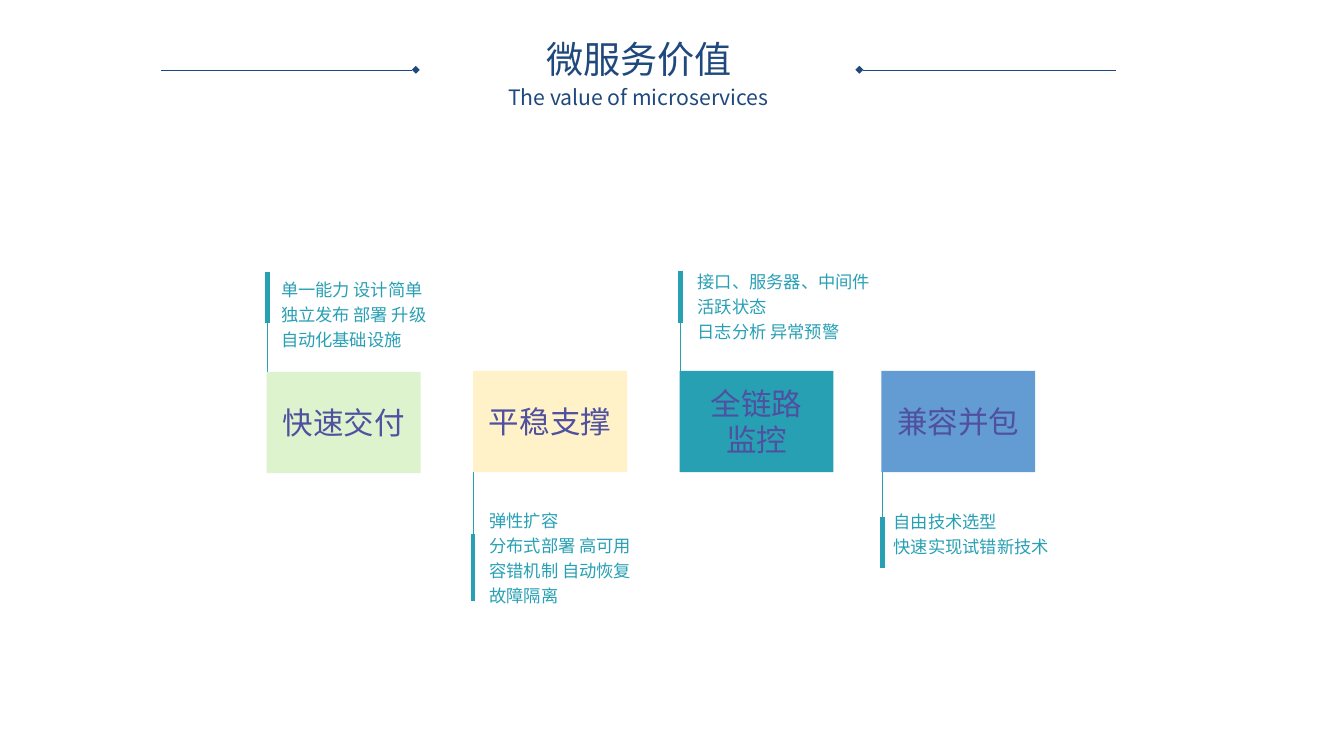
from dataclasses import dataclass

from lxml.etree import SubElement as Sub
from pptx import Presentation as Deck
from pptx.dml.color import RGBColor as Color
from pptx.enum.shapes import MSO_CONNECTOR as Link, MSO_SHAPE as Form
from pptx.enum.text import MSO_ANCHOR as Anchor, PP_ALIGN as Align
from pptx.oxml.ns import qn
from pptx.util import Inches, Pt


@dataclass(frozen=True)
class Theme:
    navy: str = "1F497D"
    teal: str = "28A0B4"
    violet: str = "4F50A0"
    green: str = "DCF3CE"
    cream: str = "FFF1C8"
    blue: str = "639CD3"
    latin: str = "Arial"
    sans: str = "Noto Sans CJK SC"
    title: int = 28
    sub: int = 16
    card: int = 23
    note: int = 13
    hair: float = 0.25
    thin: float = 1
    thick: float = 3.5


@dataclass(frozen=True)
class Box:
    left: float
    top: float
    width: float
    height: float

    def lengths(self) -> list:
        return [Inches(v) for v in (self.left, self.top, self.width, self.height)]


@dataclass(frozen=True)
class Stem:
    x: float
    base: float
    end: float
    reach: float


@dataclass(frozen=True)
class Value:
    name: str
    fill: str
    card: Box
    stem: Stem
    note: str
    area: Box


THEME = Theme()
WIDE, HIGH = 1.61, 1.06
VALUES = [
    Value("快速交付", THEME.green, Box(2.79, 3.89, WIDE, HIGH),
          Stem(2.8, 3.9, 2.85, -0.53),
          "单一能力 设计简单\n独立发布 部署 升级\n自动化基础设施",
          Box(2.85, 2.83, 2.16, 0.89)),
    Value("平稳支撑", THEME.cream, Box(4.95, 3.88, WIDE, HIGH),
          Stem(4.95, 4.92, 6.29, 0.7),
          "弹性扩容\n分布式部署 高可用\n容错机制 自动恢复\n故障隔离",
          Box(5.03, 5.25, 2.16, 1.18)),
    Value("全链路\n监控", THEME.teal, Box(7.11, 3.88, WIDE, HIGH),
          Stem(7.12, 3.89, 2.84, -0.54),
          "接口、服务器、中间件\n活跃状态\n日志分析 异常预警",
          Box(7.21, 2.75, 2.16, 0.89)),
    Value("兼容并包", THEME.blue, Box(9.22, 3.88, WIDE, HIGH),
          Stem(9.23, 4.9, 5.94, 0.53),
          "自由技术选型\n快速实现试错新技术",
          Box(9.26, 5.26, 2.39, 0.72)),
]


def write(shape, text: str, *, size: int, color: str, font: str = THEME.sans,
          align=Align.LEFT, anchor=Anchor.TOP, pitch: float = 1.0,
          before: float = 0) -> None:
    frame = shape.text_frame
    frame.word_wrap = True
    frame.vertical_anchor = anchor
    frame.margin_left = frame.margin_right = Inches(0.09)
    frame.margin_top = frame.margin_bottom = Inches(0.05)
    frame.text = text
    for para in frame.paragraphs:
        para.alignment = align
        para.line_spacing = pitch
        para.space_before = Pt(before)
        for run in para.runs:
            run.font.size = Pt(size)
            run.font.color.rgb = Color.from_string(color)
            run.font.name = font
            east = Sub(run.font._element, qn("a:ea"))
            east.set("typeface", font)


def draw_line(slide, start: tuple, end: tuple, color: str, width: float,
              tip: str = "") -> None:
    line = slide.shapes.add_connector(
        Link.STRAIGHT, *(Inches(v) for v in (*start, *end)))
    line.line.color.rgb = Color.from_string(color)
    line.line.width = Pt(width)
    props = line._element.spPr
    if tip:
        Sub(props.find(qn("a:ln")), qn("a:headEnd")).set("type", tip)
    Sub(props, qn("a:effectLst"))


def draw_head(slide) -> None:
    for near, far in ((4.35, 1.68), (8.99, 11.67)):
        draw_line(slide, (near, 0.73), (far, 0.73), THEME.navy, THEME.hair, "diamond")
    style = dict(color=THEME.navy, align=Align.CENTER, anchor=Anchor.MIDDLE,
                 pitch=0.9, before=10)
    sub = slide.shapes.add_textbox(*Box(4.1, 0.8, 5.16, 0.47).lengths())
    write(sub, "The value of microservices", size=THEME.sub, **style)
    title = slide.shapes.title
    title.left, title.top, title.width, title.height = Box(3.62, 0.41, 6.13, 0.47).lengths()
    write(title, "微服务价值", size=THEME.title, font=THEME.latin, **style)


def draw_stem(slide, stem: Stem) -> None:
    x = stem.x
    draw_line(slide, (x, stem.base), (x, stem.base + stem.reach), THEME.teal, THEME.thin)
    draw_line(slide, (x, stem.end - stem.reach), (x, stem.end), THEME.teal, THEME.thick)


def draw_value(slide, value: Value) -> None:
    draw_stem(slide, value.stem)
    card = slide.shapes.add_shape(Form.RECTANGLE, *value.card.lengths())
    card.shadow.inherit = False
    card.fill.solid()
    card.fill.fore_color.rgb = Color.from_string(value.fill)
    card.line.fill.background()
    write(card, value.name, size=THEME.card, color=THEME.violet,
          align=Align.CENTER, anchor=Anchor.MIDDLE)
    note = slide.shapes.add_textbox(*value.area.lengths())
    write(note, value.note, size=THEME.note, color=THEME.teal, pitch=1.2)


def main() -> None:
    deck = Deck()
    deck.slide_width, deck.slide_height = Inches(14.06), Inches(7.91)
    slide = deck.slides.add_slide(deck.slide_layouts[5])
    draw_head(slide)
    for value in VALUES:
        draw_value(slide, value)
    deck.save("out.pptx")


if __name__ == "__main__":
    main()
